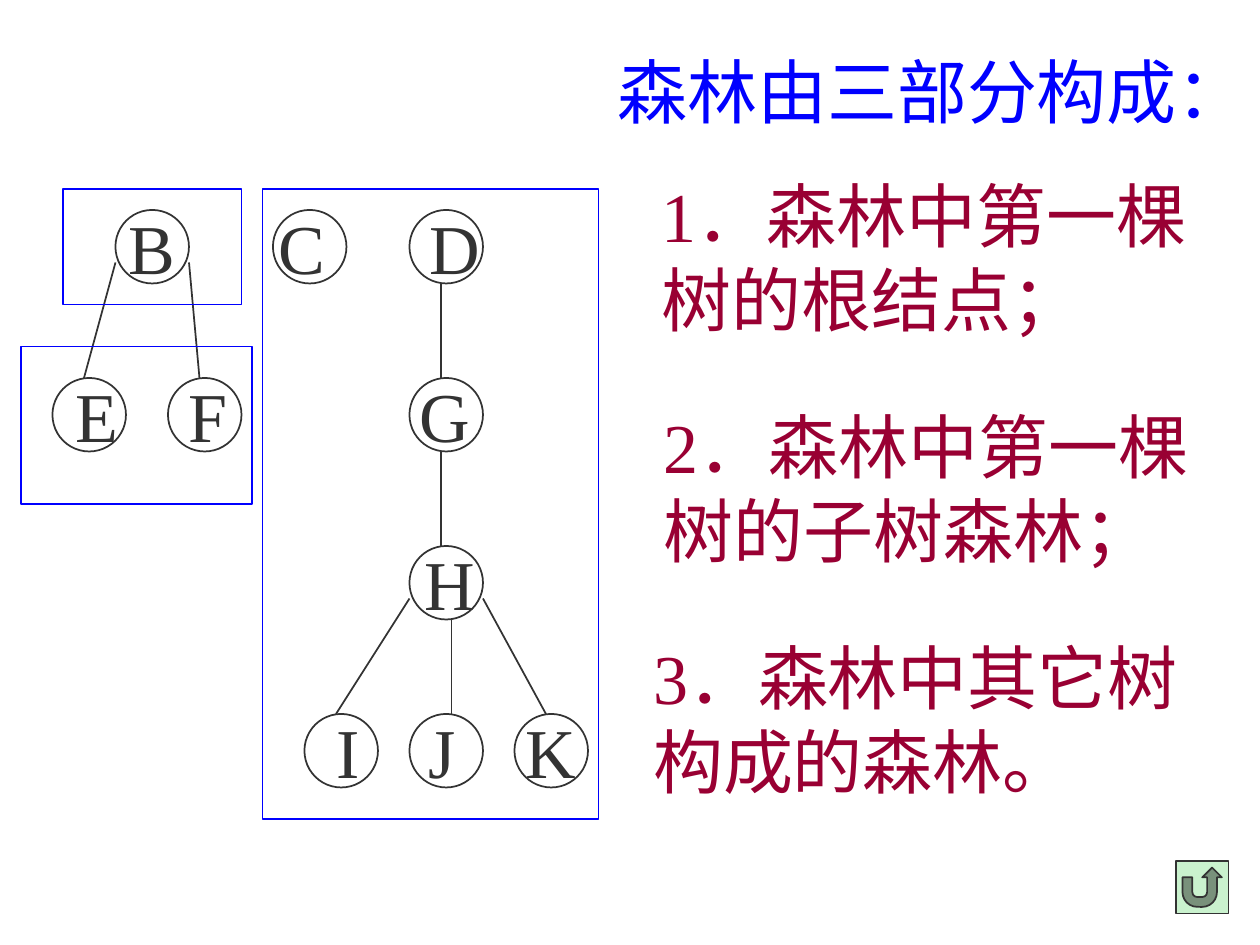
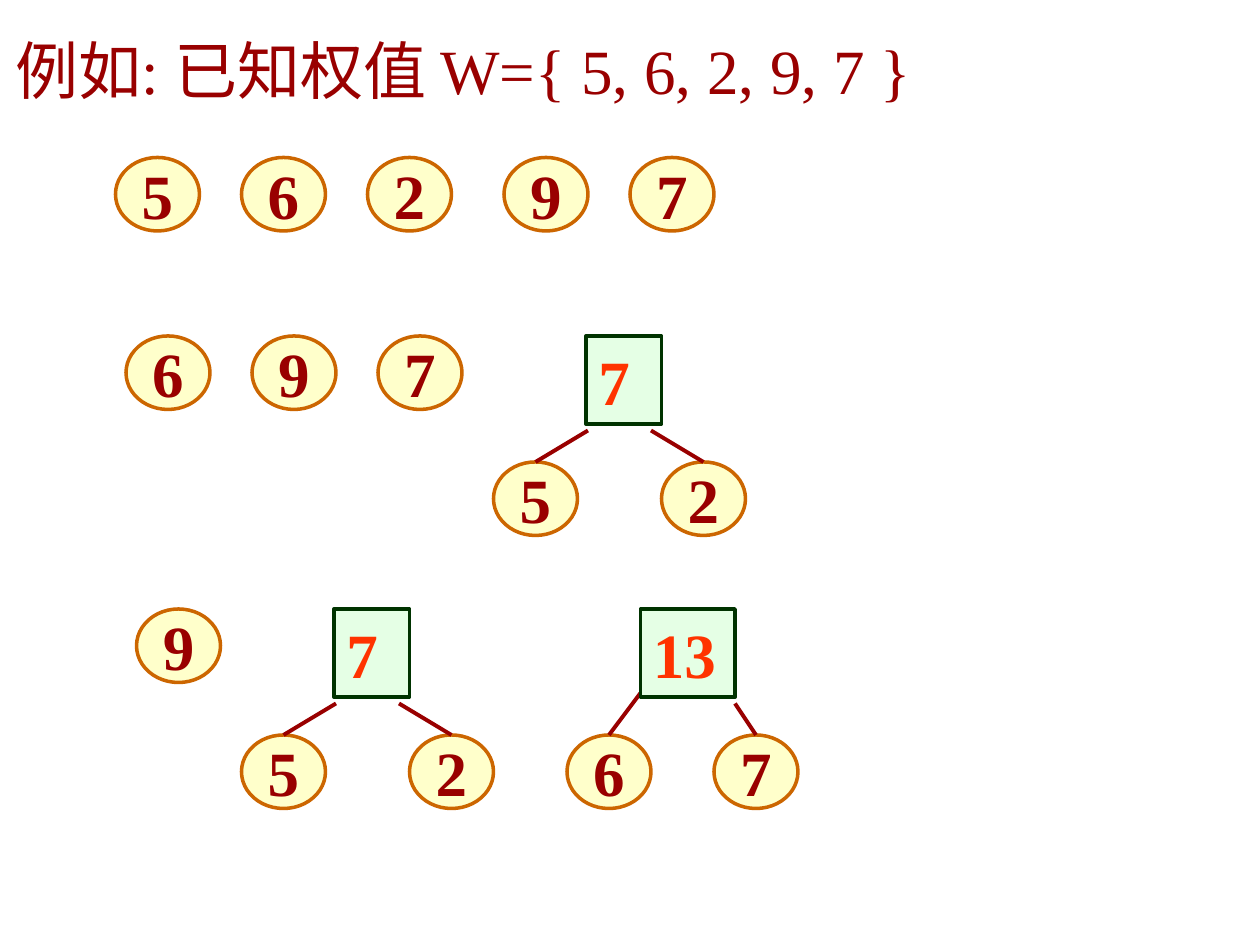
from dataclasses import dataclass
from lxml import etree
from pptx import Presentation
from pptx.dml.color import RGBColor
from pptx.enum import shapes, text
from pptx.oxml import ns
from pptx.util import Pt


@dataclass(frozen=True)
class Theme:
    """Colours, fonts and type sizes of the deck."""
    ink: str = "333333"
    blue: str = "0000FF"
    rose: str = "990033"
    red: str = "990000"
    flame: str = "FF3300"
    cream: str = "FFFF99"
    amber: str = "CC6600"
    mint: str = "CCFFCC"
    pine: str = "003300"
    pale: str = "CAF2CE"
    latin: str = "Times New Roman"
    asian: str = "Noto Sans CJK SC"
    large: int = 40
    small: int = 36
    lead: float = 1.2


T = Theme()
OVAL = shapes.MSO_SHAPE.OVAL
RECT = shapes.MSO_SHAPE.RECTANGLE
LEFT, MID = text.PP_ALIGN.LEFT, text.PP_ALIGN.CENTER
DISC = 42
LEAF = 48


def style(para, size, color, bold=False, align=LEFT):
    """Format a paragraph and all its runs."""
    para.alignment = align
    para.line_spacing = Pt(size * T.lead)
    for run in para.runs:
        font = run.font
        font.size, font.bold, font.name = Pt(size), bold, T.latin
        font.color.rgb = RGBColor.from_string(color)
        face = etree.SubElement(run._r.rPr, ns.qn("a:ea"))
        face.set("typeface", T.asian)


def place(item, box):
    """Move an item to a box given in points."""
    item.left, item.top, item.width, item.height = map(Pt, box)


def shape(slide, kind, box, line, weight=1, fill=None, alpha=None):
    """Draw a preset shape with an outline and an optional fill."""
    item = slide.shapes.add_shape(kind, *map(Pt, box))
    item.shadow.inherit = False
    item.line.color.rgb = RGBColor.from_string(line)
    item.line.width = Pt(weight)
    if fill:
        item.fill.solid()
        item.fill.fore_color.rgb = RGBColor.from_string(fill)
    else:
        item.fill.background()
    if alpha:
        tone = item.fill._xPr.find(".//" + ns.qn("a:srgbClr"))
        etree.SubElement(tone, ns.qn("a:alpha")).set("val", str(alpha * 1000))
    return item


def label(item, words, size, color, bold=False, shift=0):
    """Centre words in a shape, moved sideways by a shift."""
    frame = item.text_frame
    frame.word_wrap = False
    frame.vertical_anchor = text.MSO_ANCHOR.MIDDLE
    frame.margin_left = Pt(7.2 + max(0, 2 * shift))
    frame.margin_right = Pt(7.2 + max(0, -2 * shift))
    frame.text = words
    style(frame.paragraphs[0], size, color, bold, MID)


def edge(slide, start, end, color, weight):
    """Draw a straight line between two points."""
    line = slide.shapes.add_connector(
        shapes.MSO_CONNECTOR.STRAIGHT, *map(Pt, (*start, *end)))
    line.line.color.rgb = RGBColor.from_string(color)
    line.line.width = Pt(weight)
    etree.SubElement(line._element.spPr, ns.qn("a:effectLst"))


def heading(slide, box, words, size, color):
    """Fill the title placeholder."""
    title = slide.shapes.title
    place(title, box)
    frame = title.text_frame
    frame.text = words
    frame.word_wrap = False
    frame.auto_size = text.MSO_AUTO_SIZE.NONE
    frame.vertical_anchor = text.MSO_ANCHOR.TOP
    style(frame.paragraphs[0], size, color)


def forest(slide, box):
    """Draw the forest and the frames of its three parts."""
    left, top = box[:2]
    nodes = {
        "B": (54, 12, 0), "C": (144, 12, -4.5), "D": (222, 12, 5),
        "E": (18, 108, 4.5), "F": (84, 108, 2), "G": (222, 108, -1),
        "H": (222, 204, 2), "I": (162, 300, 4), "J": (222, 300, -2),
        "K": (282, 300, 0)}
    for name, (x, y, shift) in nodes.items():
        disc = shape(slide, OVAL, (left + x, top + y, DISC, DISC), T.ink)
        label(disc, name, T.large, T.ink, shift=shift)
    ties = [("B", 0, 30, "E", 18), ("B", 42, 30, "F", 18),
            ("D", 18, 42, "G", 18), ("G", 18, 42, "H", 18),
            ("H", 24, 42, "J", 24), ("H", 0, 30, "I", 18),
            ("H", 42, 30, "K", 18)]
    for head, dx, dy, child, end in ties:
        x, y, _ = nodes[head]
        to, low, _ = nodes[child]
        edge(slide, (left + x + dx, top + y + dy),
             (left + to + end, top + low), T.ink, 1)
    for x, y, wide, high in ((24, 0, 102, 66), (0, 90, 132, 90),
                             (138, 0, 192, 360)):
        shape(slide, RECT, (left + x, top + y, wide, high), T.blue)


def parts(slide, box):
    """List the three parts in the body placeholder."""
    body = slide.placeholders[1]
    place(body, box)
    frame = body.text_frame
    frame.auto_size = text.MSO_AUTO_SIZE.NONE
    items = [("1．森林中第一棵树的根结点；", 5),
             ("2．森林中第一棵树的子树森林；", 6),
             ("3．森林中其它树构成的森林。", 0)]
    frame.text = "\n".join(words for words, _ in items)
    for i, (para, (_, inset)) in enumerate(zip(frame.paragraphs, items)):
        props = para._p.get_or_add_pPr()
        props.set("marL", str(Pt(inset)))
        props.set("indent", "0")
        etree.SubElement(props, ns.qn("a:buNone"))
        para.space_before = Pt(36 if i else 0)
        style(para, T.large, T.rose)


def leaf(slide, x, y, words):
    """Draw one weight as an oval."""
    oval = shape(slide, OVAL, (x, y, LEAF, DISC), T.amber, 2, T.cream, 50)
    label(oval, words, T.small, T.red, True)


def row(slide, box, weights):
    """Draw a row of single weights at the given offsets."""
    for words, dx in weights:
        leaf(slide, box[0] + dx, box[1], words)


def tree(slide, box, total, kids):
    """Draw a sum with its two weights below."""
    left, top = box[:2]
    for words, dx, x, y in kids:
        leaf(slide, left + dx, top + 72, words)
        edge(slide, (left + x, top + y),
             (left + dx + LEAF / 2, top + 72), T.red, 2.25)
    root = shape(slide, RECT, box, T.pine, 2, T.mint, 50)
    frame = root.text_frame
    frame.vertical_anchor = text.MSO_ANCHOR.TOP
    frame.text = total
    style(frame.paragraphs[0], T.small, T.flame, True)


def split(deck):
    """Build the slide on the parts of a forest."""
    slide = deck.slides.add_slide(deck.slide_layouts[1])
    heading(slide, (345.6, 24, 374, 55.4), "森林由三部分构成：", T.large, T.blue)
    forest(slide, (12, 108, 330, 360))
    parts(slide, (366, 95, 341, 368))
    shape(slide, shapes.MSO_SHAPE.ACTION_BUTTON_RETURN, (672, 492, 30, 30),
          T.ink, fill=T.pale)


def merge(deck):
    """Build the slide that merges weights into trees."""
    slide = deck.slides.add_slide(deck.slide_layouts[5])
    heading(slide, (1.4, 14.4, 586, 50.4),
            "例如: 已知权值 W={ 5, 6, 2, 9, 7 }", T.small, T.red)
    row(slide, (66, 90), zip("56297", (0, 72, 144, 222, 294)))
    row(slide, (72, 192), zip("697", (0, 72, 144)))
    row(slide, (78, 348), [("9", 0)])
    pair = [("5", -52.8, 1.2, 54), ("2", 43.2, 37.2, 54)]
    for x, y in ((334.8, 192), (190.8, 348)):
        tree(slide, (x, y, 43.2, 50.4), "7", pair)
    tree(slide, (366, 348, 54, 50.4), "13",
         [("6", -42, 0, 48), ("7", 42, 54, 54)])


def main():
    """Build and save the deck."""
    deck = Presentation()
    deck.slide_width, deck.slide_height = Pt(720), Pt(540)
    split(deck)
    merge(deck)
    deck.save("out.pptx")


if __name__ == "__main__":
    main()
